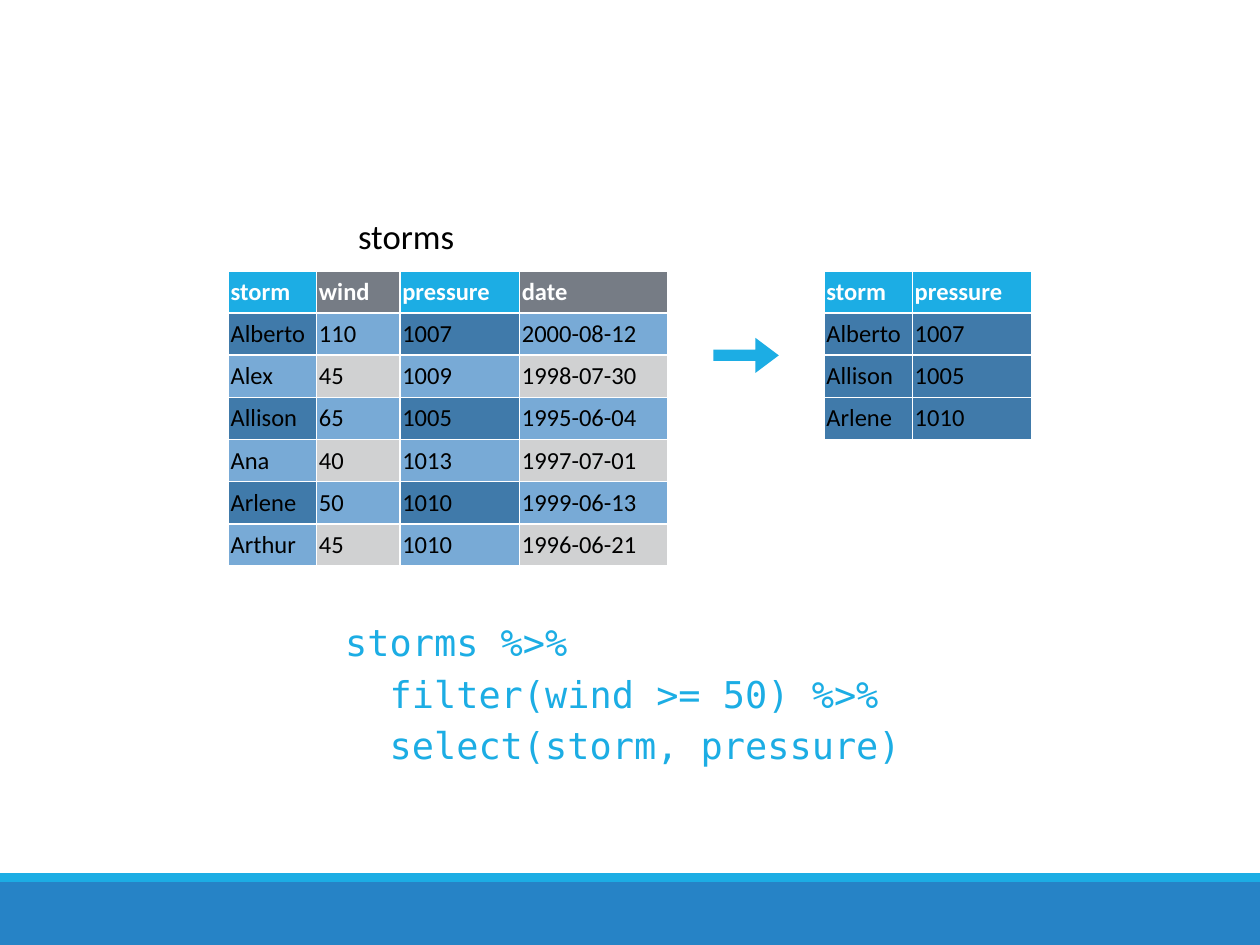
from dataclasses import dataclass
from lxml.etree import SubElement
from pptx import Presentation
from pptx.dml.color import RGBColor
from pptx.enum.shapes import MSO_SHAPE
from pptx.enum.text import MSO_ANCHOR
from pptx.oxml.ns import qn
from pptx.util import Cm, Pt


@dataclass(frozen=True)
class Theme:
    sky: str = "1CADE4"
    blue: str = "2683C6"
    slate: str = "767C85"
    white: str = "FFFFFF"
    black: str = "000000"
    # Cell shades: neither, one or both of row and column are kept
    shades: tuple = ("D0D1D2", "78AAD6", "407AAA")
    sans: str = "Calibri"
    mono: str = "DejaVu Sans Mono"
    cell: float = 14
    title: float = 19.8
    code: float = 21.1


theme = Theme()


def write(frame, text, *, size, color, font=theme.sans, bold=False, gap=0, lead=None):
    """Fill a text frame, one paragraph for each line of text."""
    frame.word_wrap = True
    for i, line in enumerate(text.split("\n")):
        para = frame.paragraphs[0] if i == 0 else frame.add_paragraph()
        para.space_before = Pt(gap if i else 0)
        if lead:
            para.line_spacing = lead
        run = para.add_run()
        run.text = line
        run.font.name, run.font.size, run.font.bold = font, Pt(size), bold
        run.font.color.rgb = RGBColor.from_string(color)


def edge(cell):
    """Draw a thin white border on all four sides of a cell."""
    props = cell._tc.get_or_add_tcPr()
    for i, side in enumerate(("lnL", "lnR", "lnT", "lnB")):
        line = props.makeelement(qn(f"a:{side}"), {"w": str(Pt(1))})
        fill = SubElement(line, qn("a:solidFill"))
        SubElement(fill, qn("a:srgbClr"), val=theme.white)
        props.insert(i, line)


deck = Presentation()
deck.slide_width, deck.slide_height = Cm(25.4), Cm(19.05)
slide = deck.slides.add_slide(deck.slide_layouts[6])

# Footer bars and the arrow between the tables
for kind, left, top, width, height, color in (
    (MSO_SHAPE.RECTANGLE, 0, 17.78, 25.4, 1.27, theme.blue),
    (MSO_SHAPE.RECTANGLE, 0, 17.6, 25.4, 0.18, theme.sky),
    (MSO_SHAPE.RIGHT_ARROW, 14.38, 6.81, 1.32, 0.71, theme.sky),
):
    shape = slide.shapes.add_shape(kind, Cm(left), Cm(top), Cm(width), Cm(height))
    shape.shadow.inherit = False
    shape.fill.solid()
    shape.fill.fore_color.rgb = RGBColor.from_string(color)
    shape.line.fill.background()
shape.adjustments[0], shape.adjustments[1] = 0.32, 0.665

# Storm data, with the rows and columns that the code keeps
head = ("storm", "wind", "pressure", "date")
widths = (1.78, 1.68, 2.41, 3.0)
storms = (
    ("Alberto", 110, 1007, "2000-08-12"),
    ("Alex", 45, 1009, "1998-07-30"),
    ("Allison", 65, 1005, "1995-06-04"),
    ("Ana", 40, 1013, "1997-07-01"),
    ("Arlene", 50, 1010, "1999-06-13"),
    ("Arthur", 45, 1010, "1996-06-21"),
)
strong = [row for row in storms if row[1] >= 50]
keep = (0, 2)
high = 0.85

# Full table on the left, filtered table on the right
for left, rows, cols in ((4.6, storms, range(4)), (16.61, strong, keep)):
    lines = [head, *rows]
    wide = sum(widths[c] for c in cols)
    grid = slide.shapes.add_table(
        len(lines), len(cols), Cm(left), Cm(5.46), Cm(wide), Cm(high * len(lines))
    ).table
    for r, line in enumerate(lines):
        grid.rows[r].height = Cm(high)
        for i, c in enumerate(cols):
            grid.columns[i].width = Cm(widths[c])
            if r == 0:
                color = theme.sky if c in keep else theme.slate
            else:
                color = theme.shades[(line in strong) + (c in keep)]
            cell = grid.cell(r, i)
            cell.fill.solid()
            cell.fill.fore_color.rgb = RGBColor.from_string(color)
            cell.vertical_anchor = MSO_ANCHOR.MIDDLE
            cell.margin_left = cell.margin_right = Cm(0.05)
            cell.margin_top = cell.margin_bottom = Cm(0.05)
            edge(cell)
            write(cell.text_frame, str(line[c]), size=theme.cell, bold=r == 0,
                  color=theme.black if r else theme.white)

# Table title and code
code = """storms %>%
  filter(wind >= 50) %>%
  select(storm, pressure)"""
for text, left, top, width, height, anchor, form in (
    ("storms", 7.14, 4.34, 2.44, 0.94, MSO_ANCHOR.MIDDLE,
     dict(size=theme.title, color=theme.black, lead=0.9)),
    (code, 6.88, 12.42, 11.63, 3.38, MSO_ANCHOR.TOP,
     dict(size=theme.code, color=theme.sky, font=theme.mono, gap=4.1)),
):
    frame = slide.shapes.add_textbox(Cm(left), Cm(top), Cm(width), Cm(height)).text_frame
    frame.margin_left = frame.margin_right = Cm(0.08)
    frame.margin_top = frame.margin_bottom = Cm(0.08)
    frame.vertical_anchor = anchor
    write(frame, text, **form)

deck.save("out.pptx")
